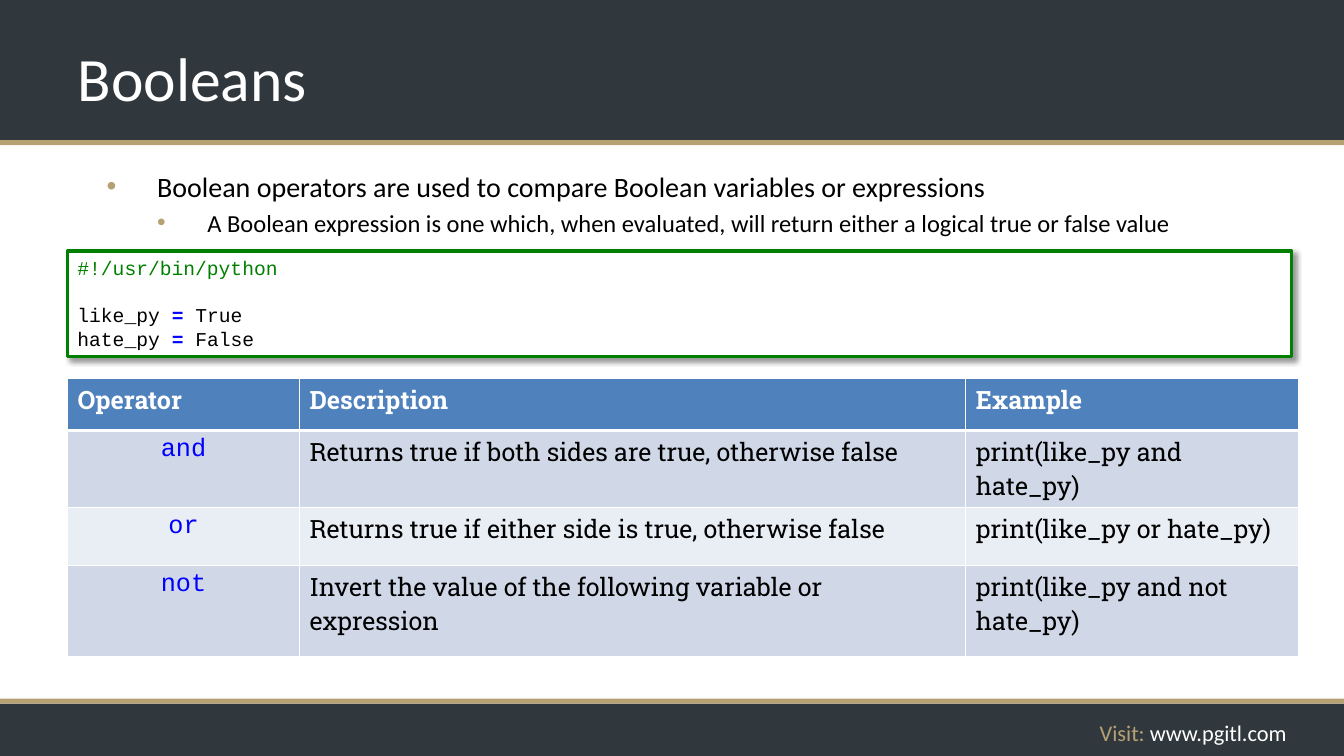
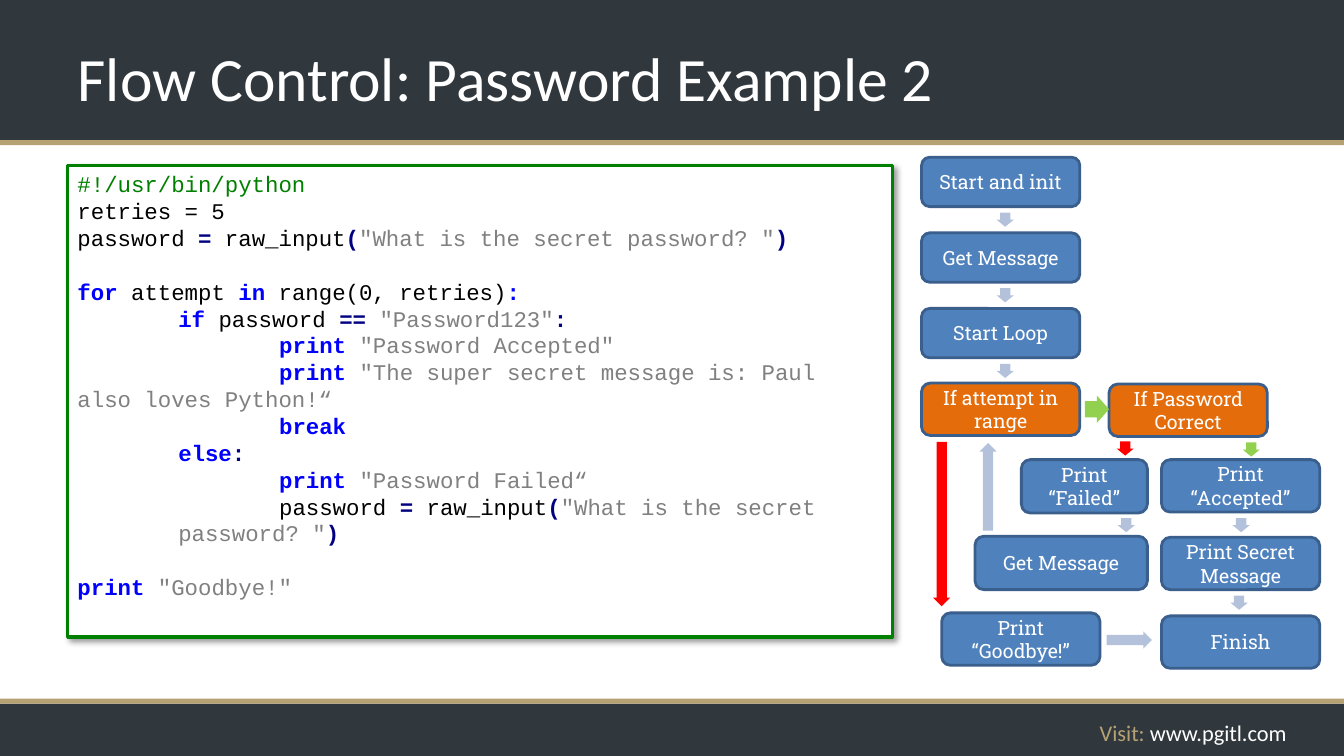
"""Build two Python course slides: Booleans and a password flow control example."""
from lxml import etree
from pptx import Presentation
from pptx.dml.color import RGBColor
from pptx.enum.shapes import MSO_SHAPE as Shape
from pptx.enum.text import MSO_ANCHOR as Anchor, MSO_AUTO_SIZE as AutoSize, PP_ALIGN as Align
from pptx.oxml.ns import qn
from pptx.util import Inches, Pt

COLORS = {
    "dark": "31383D", "gold": "B6A174", "white": "FFFFFF", "black": "000000",
    "blue": "4F81BD", "outline": "3A5F8C", "orange": "E46C0A", "pale": "B3C1DB",
    "red": "FF0000", "lime": "92D050", "band_a": "D0D8E8", "band_b": "E9EDF4",
    "comment": "008000", "keyword": "0000FF", "operator": "000080", "string": "808080",
}
BODY_FONT, CODE_FONT, SLAB_FONT = "Calibri", "Courier New", "Roboto Slab"
BOLD_STYLES = ("keyword", "operator")
PAGE_WIDTH, PAGE_HEIGHT = 13.33, 7.5
MARGIN = 0.67

BOOLEAN_CODE = [
    [("#!/usr/bin/python", "comment")],
    [],
    [("like_py ", "black"), ("=", "keyword"), (" True", "black")],
    [("hate_py ", "black"), ("=", "keyword"), (" False", "black")],
]
PASSWORD_CODE = [
    [("#!/usr/bin/python", "comment")],
    [("retries = 5", "black")],
    [("password ", "black"), ("=", "operator"), (" raw_input", "black"), ("(", "operator"),
     ('"What is the secret password? "', "string"), (")", "operator")],
    [],
    [("for", "keyword"), (" attempt ", "black"), ("in", "keyword"),
     (" range(0, retries)", "black"), (":", "keyword")],
    [("\tif", "keyword"), (" password ", "black"), ("==", "operator"), (" ", "black"),
     ('"Password123"', "string"), (":", "operator")],
    [("\t\t", "black"), ("print", "keyword"), (" ", "black"), ('"Password Accepted"', "string")],
    [("\t\t", "black"), ("print", "keyword"), (" ", "black"),
     ('"The super secret message is: Paul \t\talso loves Python!“', "string")],
    [("\t\t", "black"), ("break", "keyword")],
    [("\telse", "keyword"), (":", "operator")],
    [("\t\t", "black"), ("print", "keyword"), (" ", "black"), ('"Password Failed“', "string")],
    [("\t\tpassword ", "black"), ("=", "operator"), (" raw_input", "black"), ("(", "operator"),
     ('"What is the secret \t\t\tpassword? "', "string"), (")", "operator")],
    [],
    [("print", "keyword"), (" ", "black"), ('"Goodbye!"', "string")],
]
OPERATOR_ROWS = [
    ("Operator", "Description", "Example"),
    ("and", "Returns true if both sides are true, otherwise false", "print(like_py and hate_py)"),
    ("or", "Returns true if either side is true, otherwise false", "print(like_py or hate_py)"),
    ("not", "Invert the value of the following variable or expression",
     "print(like_py and not hate_py)"),
]


def rgb(name):
    """Return the named colour."""
    return RGBColor.from_string(COLORS[name])


def box(left, top, width, height):
    """Turn inch values into lengths."""
    return [Inches(value) for value in (left, top, width, height)]


def add_run(paragraph, text, size, font, color, bold=False):
    """Append one formatted run."""
    run = paragraph.add_run()
    run.text = text
    run.font.size, run.font.name, run.font.bold = Pt(size), font, bold
    run.font.color.rgb = rgb(color)


def next_paragraph(frame, index):
    """Return the first paragraph of a frame, or a new one after it."""
    return frame.add_paragraph() if index else frame.paragraphs[0]


def add_panel(slide, kind, place, fill, line=None, line_width=0):
    """Add a flat preset shape."""
    shape = slide.shapes.add_shape(kind, *box(*place))
    shape.shadow.inherit = False
    shape.fill.solid()
    shape.fill.fore_color.rgb = rgb(fill)
    if line:
        shape.line.color.rgb = rgb(line)
        shape.line.width = Pt(line_width)
    else:
        shape.line.fill.background()
    return shape


def add_text_box(slide, place):
    """Add a wrapping text box."""
    shape = slide.shapes.add_textbox(*box(*place))
    shape.text_frame.word_wrap = True
    return shape


def decorate_layout(layout, slide):
    """Give the layout its bands and footer, drawn through a slide."""
    for placeholder in list(layout.placeholders)[1:]:
        layout.shapes.element.remove(placeholder.element)
    bands = [(0, 1.39, "dark"), (6.98, 0.52, "dark"), (6.93, 0.05, "gold"), (1.39, 0.05, "gold")]
    shapes = [add_panel(slide, Shape.RECTANGLE, (0, top, PAGE_WIDTH, height), color)
              for top, height, color in bands]
    footer = add_text_box(slide, (9.08, 7.09, 3.78, 0.37))
    paragraph = footer.text_frame.paragraphs[0]
    paragraph.alignment = Align.RIGHT
    add_run(paragraph, "Visit: ", 16, BODY_FONT, "gold")
    add_run(paragraph, "www.pgitl.com", 16, BODY_FONT, "white")
    for shape in shapes + [footer]:
        layout.shapes.element.append(shape.element)


def set_title(slide, text):
    """Place and fill the title."""
    title = slide.shapes.title
    title.left, title.top, title.width, title.height = box(MARGIN, 0.14, 9.46, 1.25)
    frame = title.text_frame
    frame.auto_size = AutoSize.NONE
    frame.vertical_anchor = Anchor.MIDDLE
    frame.paragraphs[0].alignment = Align.LEFT
    add_run(frame.paragraphs[0], text, 44, BODY_FONT, "white")


def add_bullets(slide, place, items):
    """Add bulleted paragraphs given as (text, size), each a level deeper."""
    frame = add_text_box(slide, place).text_frame
    for level, (text, size) in enumerate(items):
        paragraph = next_paragraph(frame, level)
        paragraph.level = level
        properties = paragraph._p.get_or_add_pPr()
        properties.set("marL", str(Inches(0.5 * (level + 1))))
        properties.set("indent", str(Inches(-0.5)))
        color = etree.SubElement(properties, qn("a:buClr"))
        etree.SubElement(color, qn("a:srgbClr"), val=COLORS["gold"])
        etree.SubElement(properties, qn("a:buFont"), typeface="Arial")
        etree.SubElement(properties, qn("a:buChar"), char="•")
        if level:
            paragraph.space_before = Pt(size * 0.2)
        add_run(paragraph, text, size, BODY_FONT, "black")


def add_shadow(shape):
    """Give a shape a soft shadow to the lower right."""
    effects = shape.element.spPr.find(qn("a:effectLst"))
    shadow = etree.SubElement(effects, qn("a:outerShdw"), blurRad=str(Pt(4)), dist=str(Pt(3)),
                              dir="2700000", algn="tl", rotWithShape="0")
    color = etree.SubElement(shadow, qn("a:srgbClr"), val=COLORS["black"])
    etree.SubElement(color, qn("a:alpha"), val="40000")


def set_tabs(paragraph):
    """Put a tab stop at every inch."""
    properties = paragraph._p.get_or_add_pPr()
    properties.set("defTabSz", str(Inches(1)))
    stops = etree.SubElement(properties, qn("a:tabLst"))
    for inch in range(1, 9):
        etree.SubElement(stops, qn("a:tab"), pos=str(Inches(inch)), algn="l")


def add_code(slide, place, lines, size):
    """Add a framed listing, an empty line becoming space before the next."""
    shape = add_panel(slide, Shape.RECTANGLE, place, "white", "comment", 2.25)
    add_shadow(shape)
    frame = shape.text_frame
    frame.word_wrap = True
    frame.vertical_anchor = Anchor.TOP
    pitch = Pt(size * 1.2)
    gap = False
    for index, line in enumerate(lines):
        if line:
            paragraph = next_paragraph(frame, index)
            set_tabs(paragraph)
            paragraph.alignment = Align.LEFT
            paragraph.line_spacing = pitch
            if gap:
                paragraph.space_before = pitch
            for text, style in line:
                add_run(paragraph, text, size, CODE_FONT, style, style in BOLD_STYLES)
        gap = not line


def set_borders(cell, bottom_width):
    """Draw white cell borders ahead of the fill."""
    properties = cell._tc.get_or_add_tcPr()
    widths = {"a:lnL": 1, "a:lnR": 1, "a:lnT": 1, "a:lnB": bottom_width}
    for position, (tag, width) in enumerate(widths.items()):
        line = etree.Element(qn(tag), w=str(Pt(width)))
        fill = etree.SubElement(line, qn("a:solidFill"))
        etree.SubElement(fill, qn("a:srgbClr"), val=COLORS["white"])
        properties.insert(position, line)


def add_operator_table(slide, place, widths, heights):
    """Add the table of Boolean operators."""
    table = slide.shapes.add_table(len(heights), len(widths), *box(*place)).table
    for column, width in zip(table.columns, widths):
        column.width = Inches(width)
    for row_index, texts in enumerate(OPERATOR_ROWS):
        table.rows[row_index].height = Inches(heights[row_index])
        header = row_index == 0
        fill = "blue" if header else ("band_b", "band_a")[row_index % 2]
        for column_index, text in enumerate(texts):
            cell = table.cell(row_index, column_index)
            cell.fill.solid()
            cell.fill.fore_color.rgb = rgb(fill)
            set_borders(cell, 3 if header else 1)
            paragraph = cell.text_frame.paragraphs[0]
            if column_index == 0 and not header:
                paragraph.alignment = Align.CENTER
                add_run(paragraph, text, 18, CODE_FONT, "keyword")
            else:
                add_run(paragraph, text, 18, SLAB_FONT, "white" if header else "black", header)


def add_step(slide, text, left, top, width=1.57, height=0.52, fill="blue"):
    """Add a rounded flowchart step."""
    shape = add_panel(slide, Shape.ROUNDED_RECTANGLE, (left, top, width, height),
                      fill, "outline", 2)
    frame = shape.text_frame
    frame.word_wrap = True
    frame.vertical_anchor = Anchor.MIDDLE
    frame.paragraphs[0].alignment = Align.CENTER
    add_run(frame.paragraphs[0], text, 14, SLAB_FONT, "white")


def add_arrow(slide, center_x, center_y, color="pale", kind=Shape.DOWN_ARROW,
              width=0.17, height=0.14):
    """Add a block arrow around its centre."""
    place = (center_x - width / 2, center_y - height / 2, width, height)
    add_panel(slide, kind, place, color).adjustments[0] = 0.6


def add_flowchart(slide):
    """Draw the steps and arrows of the password program."""
    main_left, end_left, main_pitch = 9.14, 11.52, 0.75
    for index, text in enumerate(["Start and init", "Get Message", "Start Loop"]):
        add_step(slide, text, main_left, 1.56 + index * main_pitch, height=0.49)
        add_arrow(slide, 9.97, 2.18 + index * main_pitch)
    add_step(slide, "If attempt in range", main_left, 3.8, fill="orange")
    add_step(slide, "If Password Correct", 11, 3.81, fill="orange")
    for text, top in [("Print “Accepted”", 4.56), ("Print Secret Message", 5.33),
                      ("Finish", 6.11)]:
        add_step(slide, text, end_left, top)
    add_step(slide, "Print “Failed”", 10.13, 4.56, 1.25, 0.53)
    add_step(slide, "Get Message", 9.67, 5.32, 1.71, 0.53)
    add_step(slide, "Print “Goodbye!”", 9.34, 6.08)
    add_arrow(slide, 10.88, 4.06, "lime", Shape.RIGHT_ARROW, 0.24, 0.27)
    add_arrow(slide, 12.41, 4.46, "lime")
    add_arrow(slide, 11.16, 4.45, "red")
    add_arrow(slide, 9.34, 5.2, "red", height=1.63)
    add_arrow(slide, 11.17, 5.21)
    add_arrow(slide, 12.31, 5.21)
    add_arrow(slide, 12.29, 5.98)
    add_arrow(slide, 9.8, 4.83, kind=Shape.UP_ARROW, height=0.87)
    add_arrow(slide, 11.2, 6.35, kind=Shape.RIGHT_ARROW, width=0.45, height=0.17)


def build_booleans(slide):
    """Fill the slide on Boolean operators."""
    set_title(slide, "Booleans")
    add_operator_table(slide, (MARGIN, 3.75, 12.22, 2.52), (2.3, 6.61, 3.3),
                       (0.52, 0.52, 0.58, 0.9))
    add_bullets(slide, (0.96, 1.63, 11.56, 0.71), [
        ("Boolean operators are used to compare Boolean variables or expressions", 20),
        ("A Boolean expression is one which, when evaluated, will return either a logical "
         "true or false value", 17.5),
    ])
    add_code(slide, (MARGIN, 2.49, 12.14, 1.05), BOOLEAN_CODE, 14)


def build_password(slide):
    """Fill the slide on the password program."""
    set_title(slide, "Flow Control: Password Example 2")
    add_code(slide, (MARGIN, 1.64, 8.18, 4.68), PASSWORD_CODE, 16)
    add_flowchart(slide)


def main():
    """Build and save the presentation."""
    presentation = Presentation()
    presentation.slide_width = Inches(PAGE_WIDTH)
    presentation.slide_height = Inches(PAGE_HEIGHT)
    layout = presentation.slide_layouts[5]
    slides = [presentation.slides.add_slide(layout) for _ in range(2)]
    decorate_layout(layout, slides[0])
    build_booleans(slides[0])
    build_password(slides[1])
    presentation.save("out.pptx")


if __name__ == "__main__":
    main()
